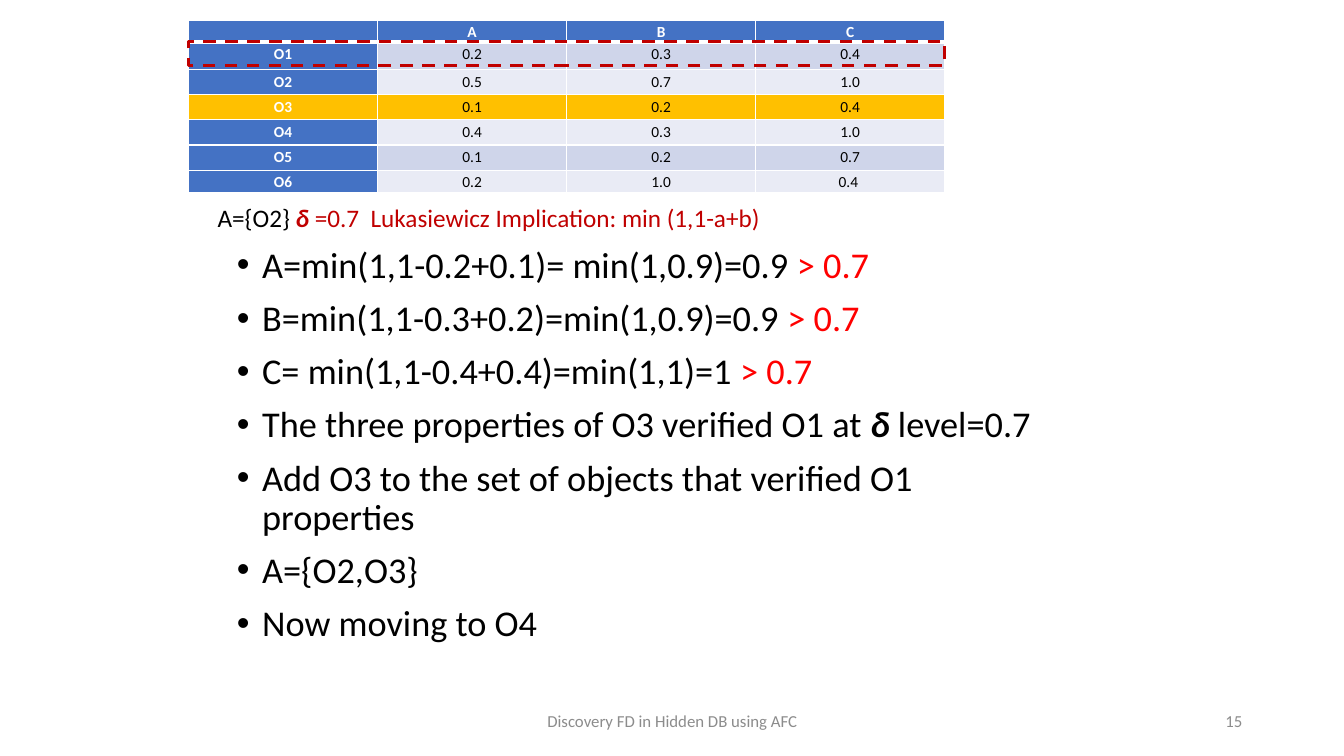
import pptx
import pptx.util
import pptx.oxml.ns
import pptx.dml.color
import pptx.enum.dml
import pptx.enum.shapes
import pptx.enum.text
import lxml.etree

Inches, Pt = pptx.util.Inches, pptx.util.Pt
ALIGN = pptx.enum.text.PP_ALIGN
ANCHOR = pptx.enum.text.MSO_ANCHOR
FONT = "Calibri"
COLORS = {
    "black": "000000", "white": "FFFFFF", "head": "4472C4", "mark": "FFC000",
    "dark": "CFD5EA", "light": "E9EBF5", "frame": "C00000", "red": "FF0000",
    "gray": "8C8C8C",
}
GRID = [
    ["", "A", "B", "C"],
    ["O1", "0.2", "0.3", "0.4"],
    ["O2", "0.5", "0.7", "1.0"],
    ["O3", "0.1", "0.2", "0.4"],
    ["O4", "0.4", "0.3", "1.0"],
    ["O5", "0.1", "0.2", "0.7"],
    ["O6", "0.2", "1.0", "0.4 "],
]
HEIGHTS = [0.22, 0.27, 0.25, 0.25, 0.25, 0.25, 0.18]
MARKED = 3
# Each run is its text, colour and whether it is bold italic.
ABOVE = ("> 0.7", "red", False)
POINTS = [
    [("A=min(1,1-0.2+0.1)= min(1,0.9)=0.9 ", "black", False), ABOVE],
    [("B=min(1,1-0.3+0.2)=min(1,0.9)=0.9 ", "black", False), ABOVE],
    [("C= min(1,1-0.4+0.4)=min(1,1)=1 ", "black", False), ABOVE],
    [("The three properties of O3 verified O1 at ", "black", False),
     ("δ ", "black", True), ("level=0.7", "black", False)],
    [("Add O3 to the set of objects that verified O1 properties", "black", False)],
    [("A={O2,O3}", "black", False)],
    [("Now moving to O4", "black", False)],
]
RULE = [
    ("A={O2} ", "black", False), ("δ", "frame", True),
    (" =0.7  Lukasiewicz Implication: min (1,1-a+b)", "frame", False),
]


def rgb(name):
    return pptx.dml.color.RGBColor.from_string(COLORS[name])


def add_tag(parent, tag, **attrs):
    return lxml.etree.SubElement(parent, pptx.oxml.ns.qn(tag), attrs)


def add_run(para, text, size, color, bold=False, italic=False):
    run = para.add_run()
    run.text = text
    font = run.font
    font.name, font.size = FONT, Pt(size)
    font.bold, font.italic = bold, italic
    font.color.rgb = rgb(color)


def add_runs(para, runs, size):
    for text, color, strong in runs:
        add_run(para, text, size, color, strong, strong)


def add_edges(cell, base):
    """Draw white cell borders, with the given width at the bottom."""
    props = cell._tc.get_or_add_tcPr()
    for side, width in (("L", 1), ("R", 1), ("T", 1), ("B", base)):
        edge = add_tag(props, f"a:ln{side}", w=str(Pt(width)))
        add_tag(add_tag(edge, "a:solidFill"), "a:srgbClr", val=COLORS["white"])


def pick_fill(row, col):
    if row == MARKED:
        return "mark"
    if row == 0 or col == 0:
        return "head"
    return "dark" if row % 2 else "light"


def fill_cell(cell, row, col):
    add_edges(cell, 3 if row == 0 else 1)
    cell.fill.solid()
    cell.fill.fore_color.rgb = rgb(pick_fill(row, col))
    cell.margin_left = cell.margin_right = Inches(0.07)
    cell.margin_top = cell.margin_bottom = 0
    para = cell.text_frame.paragraphs[0]
    para.alignment, para.line_spacing = ALIGN.CENTER, 1.15
    label = row == 0 or col == 0
    if GRID[row][col]:
        add_run(para, GRID[row][col], 11, "white" if label else "black", label)
    else:
        add_tag(para._p, "a:endParaRPr", sz="1100")


def add_grid(slide):
    table = slide.shapes.add_table(
        len(GRID), len(GRID[0]), Inches(1.87), Inches(0.2),
        Inches(7.5), Inches(sum(HEIGHTS))).table
    for row, height in enumerate(HEIGHTS):
        table.rows[row].height = Inches(height)
        for col in range(len(GRID[0])):
            fill_cell(table.cell(row, col), row, col)


def add_frame(slide):
    frame = slide.shapes.add_shape(
        pptx.enum.shapes.MSO_SHAPE.RECTANGLE,
        Inches(1.87), Inches(0.41), Inches(7.5), Inches(0.24))
    frame.shadow.inherit = False
    frame.fill.background()
    frame.line.color.rgb = rgb("frame")
    frame.line.width = Pt(2.25)
    frame.line.dash_style = pptx.enum.dml.MSO_LINE.DASH


def add_text(slide, box, runs, size, align=ALIGN.LEFT, anchor=ANCHOR.TOP, wrap=True):
    frame = slide.shapes.add_textbox(*map(Inches, box)).text_frame
    frame.word_wrap, frame.vertical_anchor = wrap, anchor
    para = frame.paragraphs[0]
    para.alignment = align
    add_runs(para, runs, size)


def fill_body(body):
    body.left, body.top = Inches(2.25), Inches(2.4)
    body.width, body.height = Inches(8.33), Inches(4.28)
    frame = body.text_frame
    frame.auto_size = pptx.enum.text.MSO_AUTO_SIZE.NONE
    for index, runs in enumerate(POINTS):
        para = frame.add_paragraph() if index else frame.paragraphs[0]
        para.line_spacing, para.space_before = 0.9, Pt(10)
        props = para._p.get_or_add_pPr()
        props.set("marL", str(Inches(0.25)))
        props.set("indent", str(Inches(-0.25)))
        add_tag(props, "a:buFont", typeface="Arial")
        add_tag(props, "a:buChar", char="•")
        add_runs(para, runs, 25.9)


def main():
    deck = pptx.Presentation()
    deck.slide_width, deck.slide_height = Inches(13.33), Inches(7.5)
    slide = deck.slides.add_slide(deck.slide_layouts[1])
    title = slide.shapes.title.element
    title.getparent().remove(title)
    add_grid(slide)
    add_frame(slide)
    add_text(slide, (2.06, 1.96, 5.64, 0.71), RULE, 18, wrap=False)
    fill_body(slide.placeholders[1])
    add_text(slide, (4.42, 6.95, 4.5, 0.4),
             [("Discovery FD in Hidden DB using AFC", "gray", False)],
             12, ALIGN.CENTER, ANCHOR.MIDDLE)
    add_text(slide, (9.42, 6.95, 3, 0.4), [("15", "gray", False)],
             12, ALIGN.RIGHT, ANCHOR.MIDDLE)
    deck.save("out.pptx")


if __name__ == "__main__":
    main()
